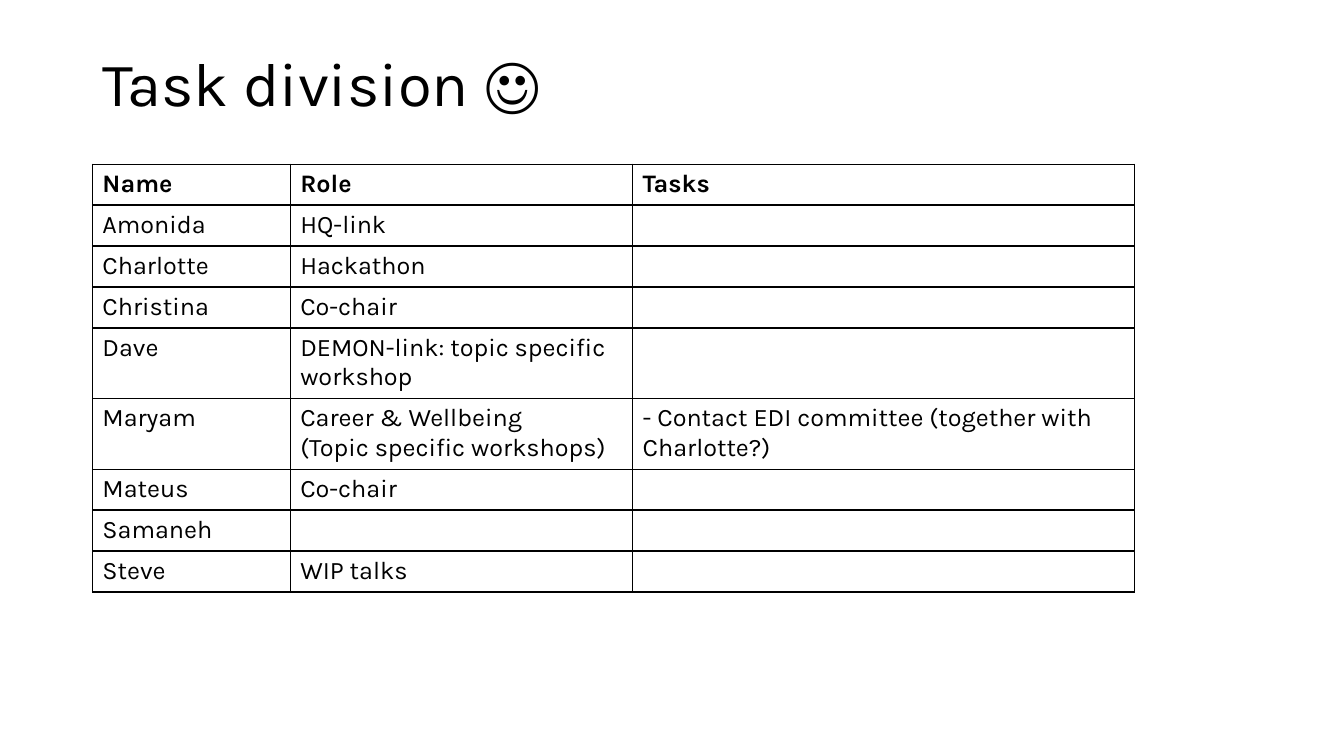
from lxml import etree
from pptx import Presentation
from pptx.dml import color
from pptx.enum import text
from pptx.oxml import ns
from pptx.util import Pt

FONT = "Karla"
BLACK = "000000"
COLUMN_WIDTHS = (141.3, 244.6, 358.6)
ROW_HEIGHT = 29.28
ROWS = (
    ("Name", "Role", "Tasks"),
    ("Amonida", "HQ-link", ""),
    ("Charlotte", "Hackathon", ""),
    ("Christina", "Co-chair", ""),
    ("Dave", "DEMON-link: topic specific workshop", ""),
    ("Maryam", "Career & Wellbeing\n(Topic specific workshops)",
     "- Contact EDI committee (together with Charlotte?)"),
    ("Mateus", "Co-chair", ""),
    ("Samaneh", "", ""),
    ("Steve", "WIP talks", ""),
)


def rgb(value):
    """Return the colour for a hex string."""
    return color.RGBColor.from_string(value)


def style_font(font, size, bold=False):
    """Apply the slide's typeface and colour."""
    font.name = FONT
    font.size = Pt(size)
    font.bold = bold
    font.color.rgb = rgb(BLACK)


def add_run(paragraph, content, size, bold=False):
    """Add one styled run to a paragraph."""
    run = paragraph.add_run()
    run.text = content
    style_font(run.font, size, bold)


def add_title(slide, content):
    """Add the heading at the top of the slide."""
    shape = slide.shapes.add_textbox(Pt(66), Pt(28.75), Pt(828), Pt(65.5))
    frame = shape.text_frame
    frame.word_wrap = True
    frame.vertical_anchor = text.MSO_ANCHOR.MIDDLE
    paragraph = frame.paragraphs[0]
    paragraph.line_spacing = 0.9
    add_run(paragraph, content, 44)


def set_borders(cell):
    """Draw a thin black line on every side of a cell."""
    properties = cell._tc.get_or_add_tcPr()
    for side in ("lnL", "lnR", "lnT", "lnB"):
        line = etree.SubElement(properties, ns.qn(f"a:{side}"), w=str(Pt(1)))
        fill = etree.SubElement(line, ns.qn("a:solidFill"))
        etree.SubElement(fill, ns.qn("a:srgbClr"), val=BLACK)


def fill_cell(cell, content, bold):
    """Write a cell's paragraphs and give it a plain outlined look."""
    set_borders(cell)
    cell.fill.background()
    frame = cell.text_frame
    for index, line in enumerate(content.split("\n")):
        paragraph = frame.add_paragraph() if index else frame.paragraphs[0]
        if line:
            add_run(paragraph, line, 18, bold)
        else:
            style_font(paragraph.font, 18)


def add_task_table(slide):
    """Add the table of names, roles and tasks."""
    table = slide.shapes.add_table(
        len(ROWS), len(COLUMN_WIDTHS), Pt(66), Pt(117.2),
        Pt(sum(COLUMN_WIDTHS)), Pt(ROW_HEIGHT * len(ROWS))).table
    table.first_row = False
    table.horz_banding = False
    for column, width in zip(table.columns, COLUMN_WIDTHS):
        column.width = Pt(width)
    for index, (row, contents) in enumerate(zip(table.rows, ROWS)):
        row.height = Pt(ROW_HEIGHT)
        for cell, content in zip(row.cells, contents):
            fill_cell(cell, content, bold=index == 0)


def main():
    """Build the task division slide."""
    presentation = Presentation()
    presentation.slide_width = Pt(960)
    presentation.slide_height = Pt(540)
    slide = presentation.slides.add_slide(presentation.slide_layouts[6])
    add_title(slide, "Task division ☺")
    add_task_table(slide)
    presentation.save("out.pptx")


if __name__ == "__main__":
    main()
